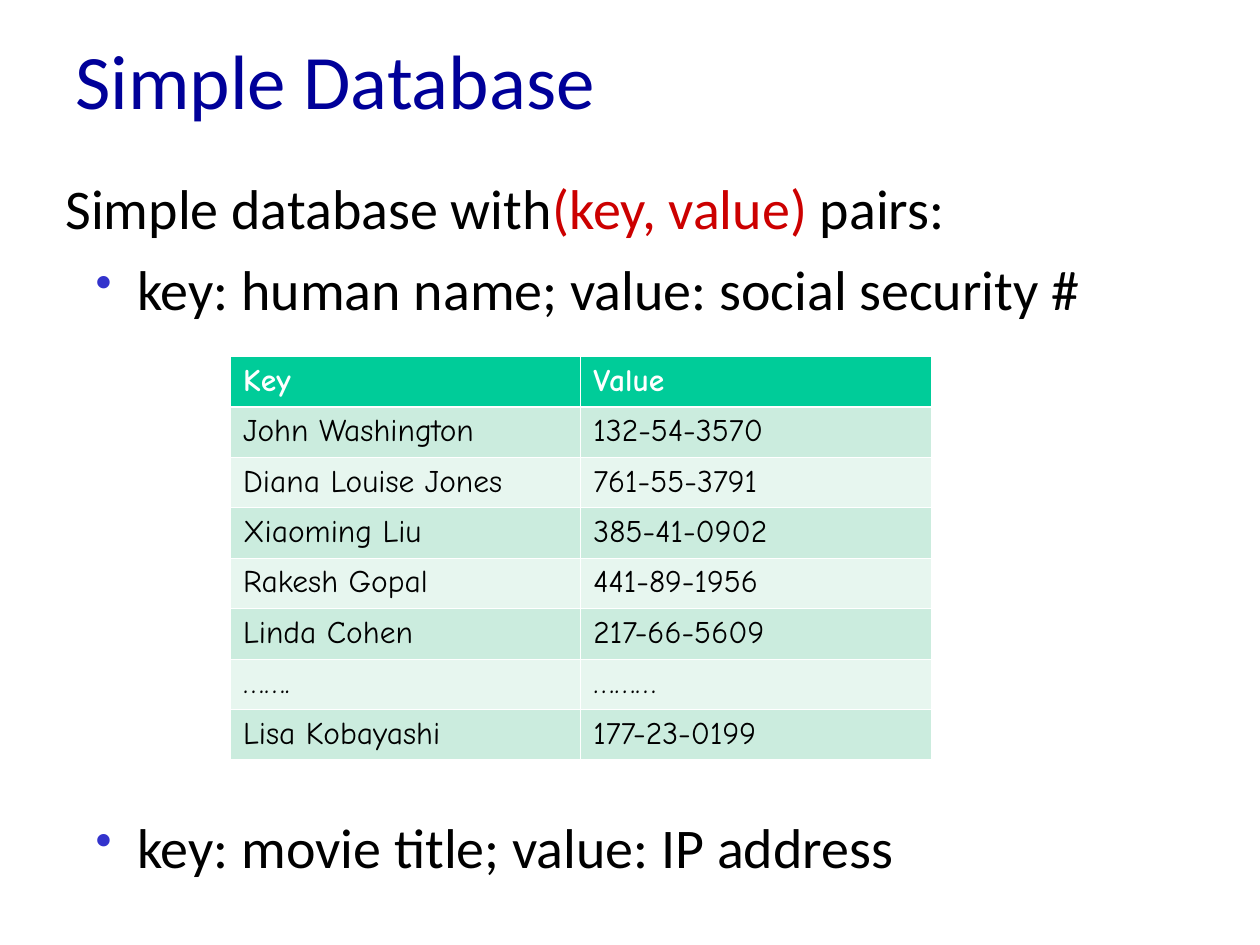
from lxml.etree import SubElement
from pptx import Presentation
from pptx.dml.color import RGBColor as RGB
from pptx.enum.text import MSO_ANCHOR as Anchor
from pptx.oxml.ns import qn
from pptx.util import Inches, Pt

COLORS = {
    "title": "000099", "text": "000000", "accent": "CC0000", "bullet": "3333CC",
    "header": "00CC99", "odd_row": "CBECDE", "even_row": "E7F6EF", "white": "FFFFFF",
}
PEOPLE = [
    ("Key", "Value"),
    ("John Washington", "132-54-3570"),
    ("Diana Louise Jones", "761-55-3791"),
    ("Xiaoming Liu", "385-41-0902"),
    ("Rakesh Gopal", "441-89-1956"),
    ("Linda Cohen", "217-66-5609"),
    ("…….", "………"),
    ("Lisa Kobayashi", "177-23-0199"),
]


def add_frame(left, top, width, height):
    box = slide.shapes.add_textbox(Inches(left), Inches(top), Inches(width), Inches(height))
    box.text_frame.word_wrap = True
    return box.text_frame


def write(paragraph, text, size, color, bulleted=False):
    paragraph.text = text
    if bulleted:
        props = paragraph._p.get_or_add_pPr()
        props.set("marL", str(Inches(0.57)))
        props.set("indent", str(Inches(-0.33)))
        bullet_color = SubElement(props, qn("a:buClr"))
        SubElement(bullet_color, qn("a:srgbClr"), val=COLORS["bullet"])
        SubElement(props, qn("a:buSzPct"), val="85000")
        SubElement(props, qn("a:buChar"), char="•")
    paragraph.font.name = "Calibri"
    paragraph.font.size = Pt(size)
    paragraph.font.color.rgb = RGB.from_string(COLORS[color])


prs = Presentation()
prs.slide_width, prs.slide_height = Inches(10), Inches(7.5)
slide = prs.slides.add_slide(prs.slide_layouts[6])

people = slide.shapes.add_table(
    len(PEOPLE), 2, Inches(1.83), Inches(2.83), Inches(5.56), Inches(3.2)).table
for row, record in enumerate(PEOPLE):
    is_header = row == 0
    fill = "header" if is_header else "odd_row" if row % 2 else "even_row"
    for column, entry in enumerate(record):
        cell = people.cell(row, column)
        cell.text = entry
        font = cell.text_frame.paragraphs[0].font
        font.name, font.size, font.bold = "Comic Neue", Pt(18), is_header
        font.color.rgb = RGB.from_string(COLORS["white" if is_header else "text"])
        props = cell._tc.get_or_add_tcPr()
        for side in ("L", "R", "T", "B"):
            under_header = (row, side) in ((0, "B"), (1, "T"))
            border = SubElement(props, qn(f"a:ln{side}"), w=str(Pt(1.47 if under_header else 0.45)))
            border_fill = SubElement(border, qn("a:solidFill"))
            SubElement(border_fill, qn("a:srgbClr"), val=COLORS["white"])
        cell.fill.solid()
        cell.fill.fore_color.rgb = RGB.from_string(COLORS[fill])

intro = add_frame(0.42, 1.33, 9.58, 2.46)
pairs = intro.paragraphs[0]
write(pairs, "Simple database with", 32, "text")
accent = pairs.add_run()
accent.text = "(key, value) "
accent.font.color.rgb = RGB.from_string(COLORS["accent"])
pairs.add_run().text = "pairs:"
name_example = intro.add_paragraph()
name_example.space_before = Pt(8)
write(name_example, "key: human name; value: social security #", 32, "text", bulleted=True)

title = add_frame(0.5, 0, 9, 1.25)
title.vertical_anchor = Anchor.MIDDLE
write(title.paragraphs[0], "Simple Database", 44, "title")

movie_example = add_frame(0.42, 6.4, 9.58, 1.1)
write(movie_example.paragraphs[0], "key: movie title; value: IP address", 32, "text", bulleted=True)

prs.save("out.pptx")
